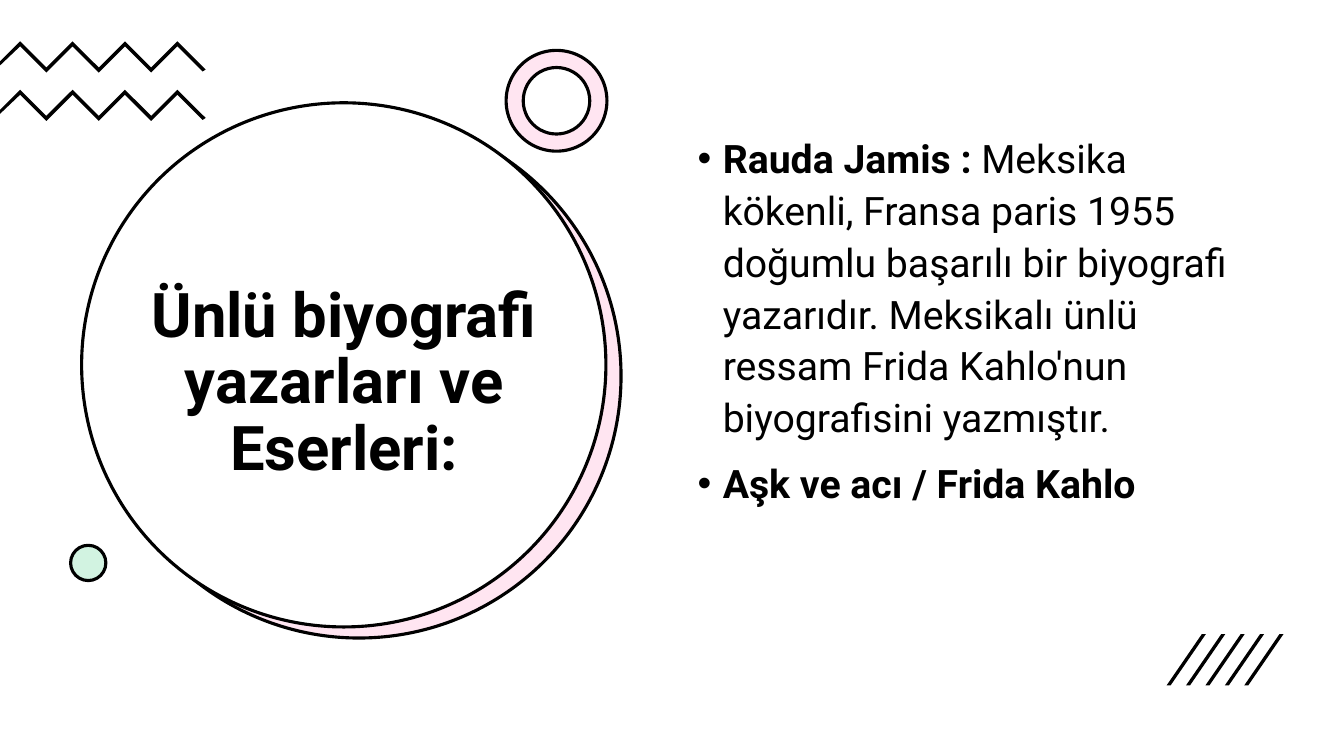
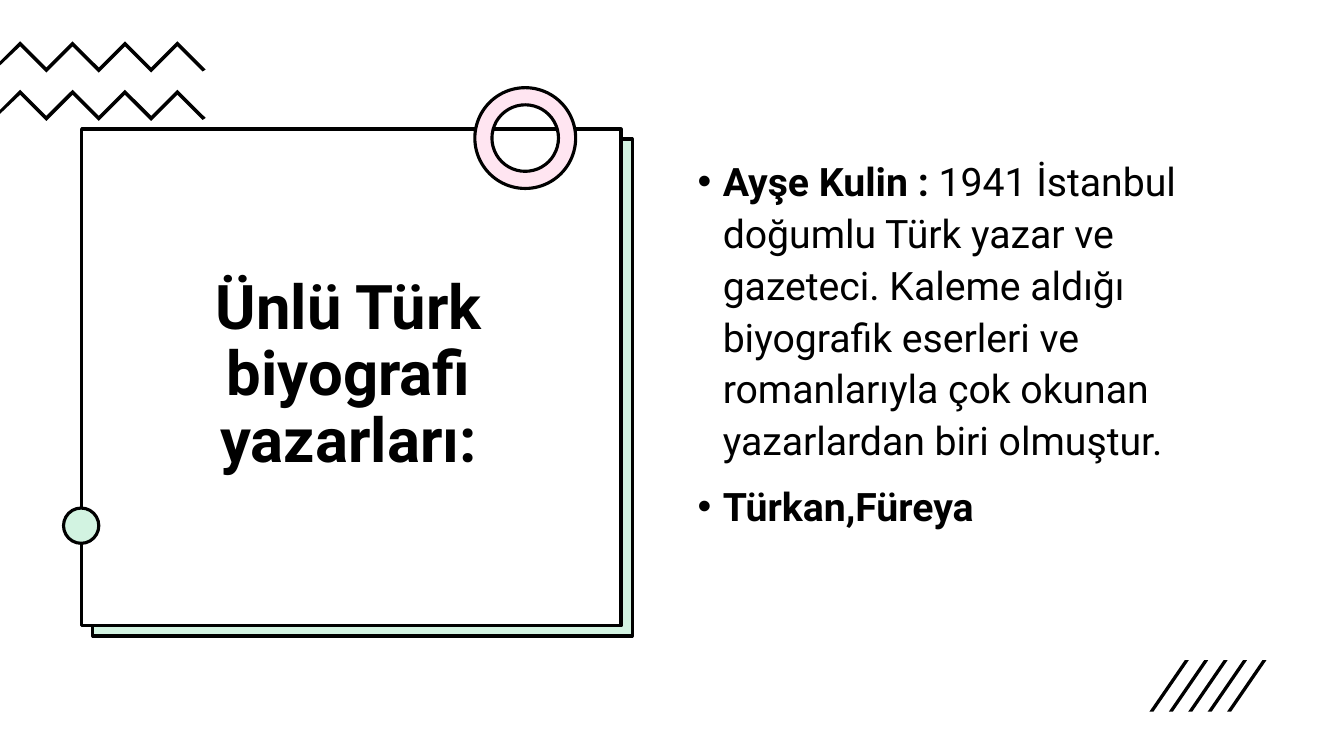
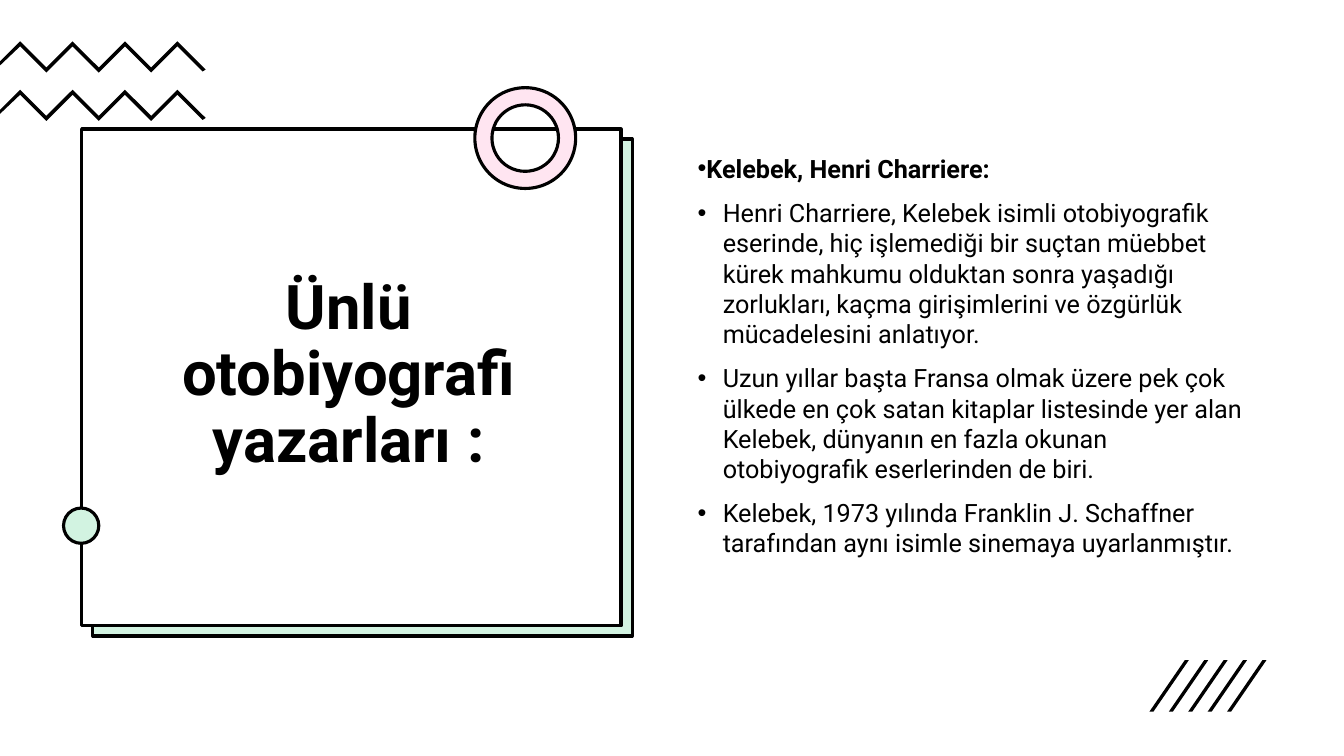
from dataclasses import dataclass
from typing import Any

from lxml.etree import SubElement
from pptx import Presentation
from pptx.dml.color import RGBColor
from pptx.enum.shapes import MSO_SHAPE
from pptx.enum.text import MSO_ANCHOR, MSO_AUTO_SIZE, PP_ALIGN
from pptx.oxml.ns import qn
from pptx.shapes.autoshape import Shape
from pptx.slide import Slide
from pptx.util import Inches, Pt


# Shared look
@dataclass(frozen=True)
class Theme:
    ink: RGBColor = RGBColor(0x00, 0x00, 0x00)
    paper: RGBColor = RGBColor(0xFF, 0xFF, 0xFF)
    pink: RGBColor = RGBColor(0xFF, 0x80, 0xBD)
    mint: RGBColor = RGBColor(0x21, 0xC4, 0x6B)
    tint_alpha: int = 20000
    font: str = "Roboto"
    title_size: int = 44
    large_size: int = 28
    small_size: int = 18
    outline: float = 2.25


THEME = Theme()


@dataclass(frozen=True)
class Box:
    left: float
    top: float
    width: float
    height: float

    def emu(self) -> tuple[int, int, int, int]:
        return (Inches(self.left), Inches(self.top),
                Inches(self.width), Inches(self.height))


# Content records
@dataclass(frozen=True)
class Bullet:
    lead: str = ""
    detail: str = ""
    hanging: float = 0.25


@dataclass(frozen=True)
class Frame:
    """Outlined panel behind the title, with a tinted panel peeking out below."""
    preset: MSO_SHAPE
    front: Box
    back: Box
    tint: RGBColor
    title: Box
    ring: Box
    dot: Box
    slashes: tuple[float, float]
    body_top: float


@dataclass(frozen=True)
class Page:
    title: str
    frame: Frame
    bullets: tuple[Bullet, ...]
    size: int = THEME.large_size
    line_spacing: float = 1.1


CIRCLE = Frame(
    MSO_SHAPE.OVAL, Box(0.81, 1.02, 5.2, 5.2), Box(0.96, 1.13, 5.2, 5.2), THEME.pink,
    title=Box(1.21, 2.05, 4.41, 3.52), ring=Box(5.02, 0.5, 1, 1),
    dot=Box(0.7, 5.41, 0.35, 0.35), slashes=(11.57, 6.29), body_top=1.24)
CARD = Frame(
    MSO_SHAPE.RECTANGLE, Box(0.81, 1.28, 5.35, 4.93), Box(0.92, 1.38, 5.35, 4.93), THEME.mint,
    title=Box(1.21, 1.38, 4.5, 4.7), ring=Box(4.71, 0.87, 1, 1),
    dot=Box(0.63, 5.04, 0.35, 0.35), slashes=(11.4, 6.55), body_top=1.47)

PAGES = (
    Page("Ünlü biyografi yazarları ve Eserleri:", CIRCLE, (
        Bullet("Rauda Jamis :",
               " Meksika kökenli, Fransa paris 1955 doğumlu başarılı bir biyografi yazarıdır. "
               "Meksikalı ünlü ressam Frida Kahlo'nun biyografisini yazmıştır."),
        Bullet("Aşk ve acı / Frida Kahlo"),
    )),
    Page("Ünlü Türk biyografi yazarları:", CARD, (
        Bullet("Ayşe Kulin : ",
               "1941 İstanbul doğumlu Türk yazar ve gazeteci. Kaleme aldığı biyografik eserleri "
               "ve romanlarıyla çok okunan yazarlardan biri olmuştur."),
        Bullet("Türkan,Füreya"),
    )),
    Page("Ünlü otobiyografi yazarları :", CARD, (
        Bullet("Kelebek, Henri Charriere:", hanging=0),
        Bullet(detail="Henri Charriere, Kelebek isimli otobiyografik eserinde, hiç işlemediği bir "
                      "suçtan müebbet kürek mahkumu olduktan sonra yaşadığı zorlukları, kaçma "
                      "girişimlerini ve özgürlük mücadelesini anlatıyor."),
        Bullet(detail="Uzun yıllar başta Fransa olmak üzere pek çok ülkede en çok satan kitaplar "
                      "listesinde yer alan Kelebek, dünyanın en fazla okunan otobiyografik "
                      "eserlerinden de biri."),
        Bullet(detail="Kelebek, 1973 yılında Franklin J. Schaffner tarafından aynı isimle "
                      "sinemaya uyarlanmıştır."),
    ), size=THEME.small_size, line_spacing=1.0),
)


# Drawing helpers
def apply(target: Any, formats: dict[str, Any]) -> None:
    for name, value in formats.items():
        setattr(target, name, value)


def paint(shape: Shape, fill: RGBColor, outlined: bool) -> None:
    shape.shadow.inherit = False
    shape.fill.solid()
    shape.fill.fore_color.rgb = fill
    if outlined:
        shape.line.color.rgb = THEME.ink
        shape.line.width = Pt(THEME.outline)
    else:
        shape.line.fill.background()


def add_preset(slide: Slide, preset: MSO_SHAPE, box: Box, fill: RGBColor,
               outlined: bool = True) -> Shape:
    shape = slide.shapes.add_shape(preset, *box.emu())
    paint(shape, fill, outlined)
    return shape


def add_tinted(slide: Slide, preset: MSO_SHAPE, box: Box, tint: RGBColor) -> tuple[Shape, Shape]:
    """A paper base under a translucent, outlined colour."""
    base = add_preset(slide, preset, box, THEME.paper, outlined=False)
    cover = add_preset(slide, preset, box, tint)
    colour = cover.element.spPr.find(f"{qn('a:solidFill')}/{qn('a:srgbClr')}")
    SubElement(colour, qn("a:alpha"), val=str(THEME.tint_alpha))
    return base, cover


def add_polygon(slide: Slide, points: list[tuple[float, float]]) -> Shape:
    corners = [(Inches(x), Inches(y)) for x, y in points]
    builder = slide.shapes.build_freeform(*corners[0], scale=1.0)
    builder.add_line_segments(corners[1:], close=True)
    polygon = builder.convert_to_shape()
    paint(polygon, THEME.ink, outlined=False)
    return polygon


def add_text_run(paragraph: Any, text: str, size: int, bold: bool) -> None:
    run = paragraph.add_run()
    run.text = text
    apply(run.font, {"name": THEME.font, "size": Pt(size), "bold": bold})
    run.font.color.rgb = THEME.ink


# Decorations
def add_zigzags(slide: Slide) -> None:
    step, depth, thickness = 0.26, 0.26, 0.05
    waves = []
    for top in (0.41, 0.89):
        upper = [(0.2 + step * k, top + depth * (k % 2)) for k in range(7)]
        lower = [(x, y + thickness) for x, y in reversed(upper)]
        tip = [(2.04, top + 0.28), (2.01, top + 0.3)]
        tail = [(0, top + 0.24), (0, top + 0.2)]
        waves.append(add_polygon(slide, upper + tip + lower + tail))
    slide.shapes.add_group_shape(waves)


def add_slashes(slide: Slide, left: float, top: float) -> None:
    count, span, lean, thickness, height = 5, 0.77, 0.35, 0.04, 0.51
    strokes = []
    for k in range(count):
        x, bottom = left + span * k / (count - 1), top + height
        strokes.append(add_polygon(slide, [
            (x + thickness, bottom), (x, bottom),
            (x + lean, top), (x + lean + thickness, top)]))
    slide.shapes.add_group_shape(strokes)


# Text parts
def place_title(slide: Slide, text: str, box: Box) -> None:
    title = slide.shapes.title
    left, top, width, height = box.emu()
    apply(title, {"left": left, "top": top, "width": width, "height": height})
    apply(title.text_frame, {"word_wrap": True, "auto_size": MSO_AUTO_SIZE.NONE,
                             "vertical_anchor": MSO_ANCHOR.MIDDLE})
    heading = title.text_frame.paragraphs[0]
    apply(heading, {"alignment": PP_ALIGN.CENTER, "line_spacing": 0.9})
    add_text_run(heading, text, THEME.title_size, bold=True)
    slide.shapes.element.append(title.element)  # bring in front of the frame


def add_body(slide: Slide, page: Page) -> None:
    box = Box(6.82, page.frame.body_top, 5.71, 4.76)
    body = slide.shapes.add_textbox(*box.emu()).text_frame
    body.word_wrap = True
    for index, bullet in enumerate(page.bullets):
        paragraph = body.add_paragraph() if index else body.paragraphs[0]
        apply(paragraph, {"line_spacing": page.line_spacing, "space_before": Pt(10)})
        properties = paragraph._p.get_or_add_pPr()
        properties.set("marL", str(Inches(bullet.hanging)))
        properties.set("indent", str(-Inches(bullet.hanging)))
        SubElement(properties, qn("a:buFont"), typeface="Arial")
        SubElement(properties, qn("a:buChar"), char="•")
        for text, bold in ((bullet.lead, True), (bullet.detail, False)):
            if text:
                add_text_run(paragraph, text, page.size, bold)


def build_page(slide: Slide, page: Page) -> None:
    frame = page.frame
    slide.background.fill.solid()
    slide.background.fill.fore_color.rgb = THEME.paper
    add_zigzags(slide)
    add_tinted(slide, frame.preset, frame.back, frame.tint)
    add_preset(slide, frame.preset, frame.front, THEME.paper)
    place_title(slide, page.title, frame.title)
    for layer in add_tinted(slide, MSO_SHAPE.DONUT, frame.ring, THEME.pink):
        layer.adjustments[0] = 0.17
    add_tinted(slide, MSO_SHAPE.OVAL, frame.dot, THEME.mint)
    add_body(slide, page)
    add_slashes(slide, *frame.slashes)


def main() -> None:
    deck = Presentation()
    apply(deck, {"slide_width": Inches(13.33), "slide_height": Inches(7.5)})
    title_only = deck.slide_layouts[5]
    for page in PAGES:
        build_page(deck.slides.add_slide(title_only), page)
    deck.save("out.pptx")


if __name__ == "__main__":
    main()
